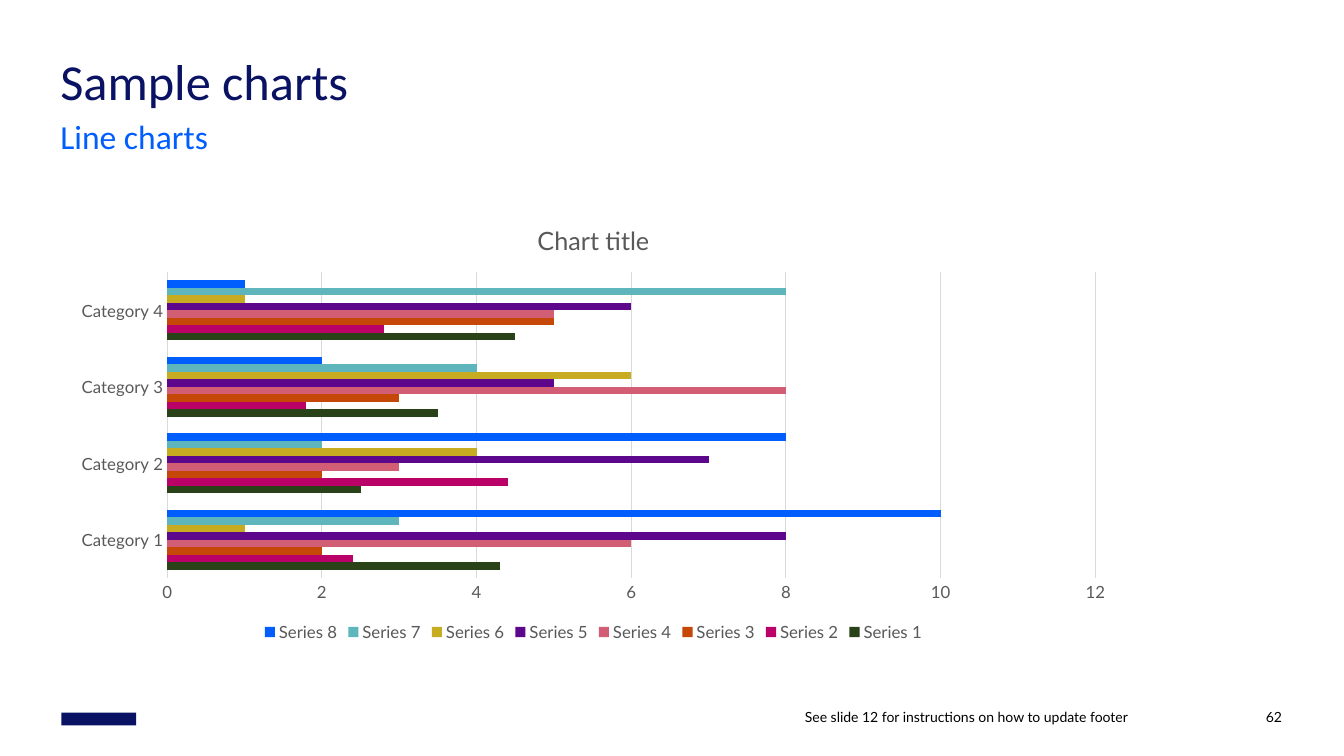
from pptx import Presentation
from pptx.chart.data import CategoryChartData
from pptx.dml.color import RGBColor
from pptx.enum.chart import XL_CHART_TYPE, XL_LEGEND_POSITION, XL_TICK_MARK
from pptx.enum.shapes import MSO_SHAPE
from pptx.enum.text import MSO_ANCHOR, PP_ALIGN
from pptx.util import Cm, Pt

BAR_CLUSTERED = XL_CHART_TYPE.BAR_CLUSTERED
LEGEND_BOTTOM = XL_LEGEND_POSITION.BOTTOM
NO_TICK = XL_TICK_MARK.NONE
RECTANGLE = MSO_SHAPE.RECTANGLE
TOP, BOTTOM = MSO_ANCHOR.TOP, MSO_ANCHOR.BOTTOM
LEFT, RIGHT = PP_ALIGN.LEFT, PP_ALIGN.RIGHT

NAVY = RGBColor(0x0A, 0x12, 0x64)
BLUE = RGBColor(0x00, 0x5E, 0xFF)
BLACK = RGBColor(0x00, 0x00, 0x00)
GREY = RGBColor(0x59, 0x59, 0x59)
LIGHT_GREY = RGBColor(0xD9, 0xD9, 0xD9)
GREEN = RGBColor(0x2A, 0x42, 0x17)
MAGENTA = RGBColor(0xBA, 0x01, 0x68)
ORANGE = RGBColor(0xC6, 0x48, 0x08)
ROSE = RGBColor(0xD2, 0x5E, 0x76)
PURPLE = RGBColor(0x5C, 0x07, 0x8C)
GOLD = RGBColor(0xC7, 0xAB, 0x20)
TEAL = RGBColor(0x5E, 0xB6, 0xBC)

MARGIN = Cm(1.52)
SERIES = [
    ((4.3, 2.5, 3.5, 4.5), GREEN),
    ((2.4, 4.4, 1.8, 2.8), MAGENTA),
    ((2, 2, 3, 5), ORANGE),
    ((6, 3, 8, 5), ROSE),
    ((8, 7, 5, 6), PURPLE),
    ((1, 4, 6, 1), GOLD),
    ((3, 2, 4, 8), TEAL),
    ((10, 8, 2, 1), BLUE),
]


def style_font(font, name, size, color):
    font.name = name
    font.size = Pt(size)
    font.bold = False
    font.color.rgb = color


deck = Presentation()
deck.slide_width = Cm(33.87)
deck.slide_height = Cm(19.05)
page = deck.slides.add_slide(deck.slide_layouts[6])

TEXTS = [
    ("Sample charts", MARGIN, Cm(1.52), Cm(30.81), Cm(1.22), "Calibri", 36, NAVY, TOP, LEFT, Pt(36)),
    ("Line charts", MARGIN, Cm(3.12), Cm(30.81), Cm(0.81), "Calibri", 24, BLUE, TOP, LEFT, 0.8),
    ("See slide 12 for instructions on how to update footer",
     Cm(13.28), Cm(17.53), Cm(15.14), Cm(0.76), "Lato", 10, BLACK, BOTTOM, RIGHT, 1.0),
    ("62", Cm(28.96), Cm(17.53), Cm(3.35), Cm(0.76), "Lato", 10, BLACK, BOTTOM, RIGHT, 1.0),
]
for text, left, top, width, height, font_name, size, color, anchor, align, spacing in TEXTS:
    box = page.shapes.add_textbox(left, top, width, height)
    frame = box.text_frame
    frame.word_wrap = True
    frame.margin_left = frame.margin_right = frame.margin_top = frame.margin_bottom = 0
    frame.vertical_anchor = anchor
    para = frame.paragraphs[0]
    para.alignment = align
    para.line_spacing = spacing
    span = para.add_run()
    span.text = text
    style_font(span.font, font_name, size, color)

brand_block = page.shapes.add_shape(RECTANGLE, Cm(1.55), Cm(17.96), Cm(1.88), Cm(0.32))
brand_block.shadow.inherit = False
brand_block.fill.solid()
brand_block.fill.fore_color.rgb = NAVY
brand_block.line.fill.background()

chart_data = CategoryChartData()
chart_data.categories = [f"Category {number}" for number in range(1, 5)]
for number, (values, color) in enumerate(SERIES, 1):
    chart_data.add_series(f"Series {number}", values)

chart = page.shapes.add_chart(
    BAR_CLUSTERED, MARGIN, Cm(5.13), Cm(26.87), Cm(11.15), chart_data
).chart
style_font(chart.font, "Lato", 10, BLACK)

chart.has_title = True
chart.chart_title.include_in_layout = False
span = chart.chart_title.text_frame.paragraphs[0].add_run()
span.text = "Chart title"
style_font(span.font, "Lato", 18, GREY)

chart.has_legend = True
chart.legend.position = LEGEND_BOTTOM
chart.legend.include_in_layout = False
style_font(chart.legend.font, "Lato", 12, GREY)

plot = chart.plots[0]
plot.gap_width = 219
plot.overlap = 0
plot.vary_by_categories = False
for series, (values, color) in zip(plot.series, SERIES):
    series.invert_if_negative = False
    series.format.fill.solid()
    series.format.fill.fore_color.rgb = color

category_axis, value_axis = chart.category_axis, chart.value_axis
for axis in (category_axis, value_axis):
    axis.major_tick_mark = NO_TICK
    axis.minor_tick_mark = NO_TICK
    style_font(axis.tick_labels.font, "Lato", 12, GREY)

value_axis.minimum_scale = 0
value_axis.maximum_scale = 12
value_axis.major_unit = 2
value_axis.has_major_gridlines = True
value_axis.format.line.fill.background()
for line in (category_axis.format.line, value_axis.major_gridlines.format.line):
    line.color.rgb = LIGHT_GREY
    line.width = Pt(0.75)

deck.save("out.pptx")
